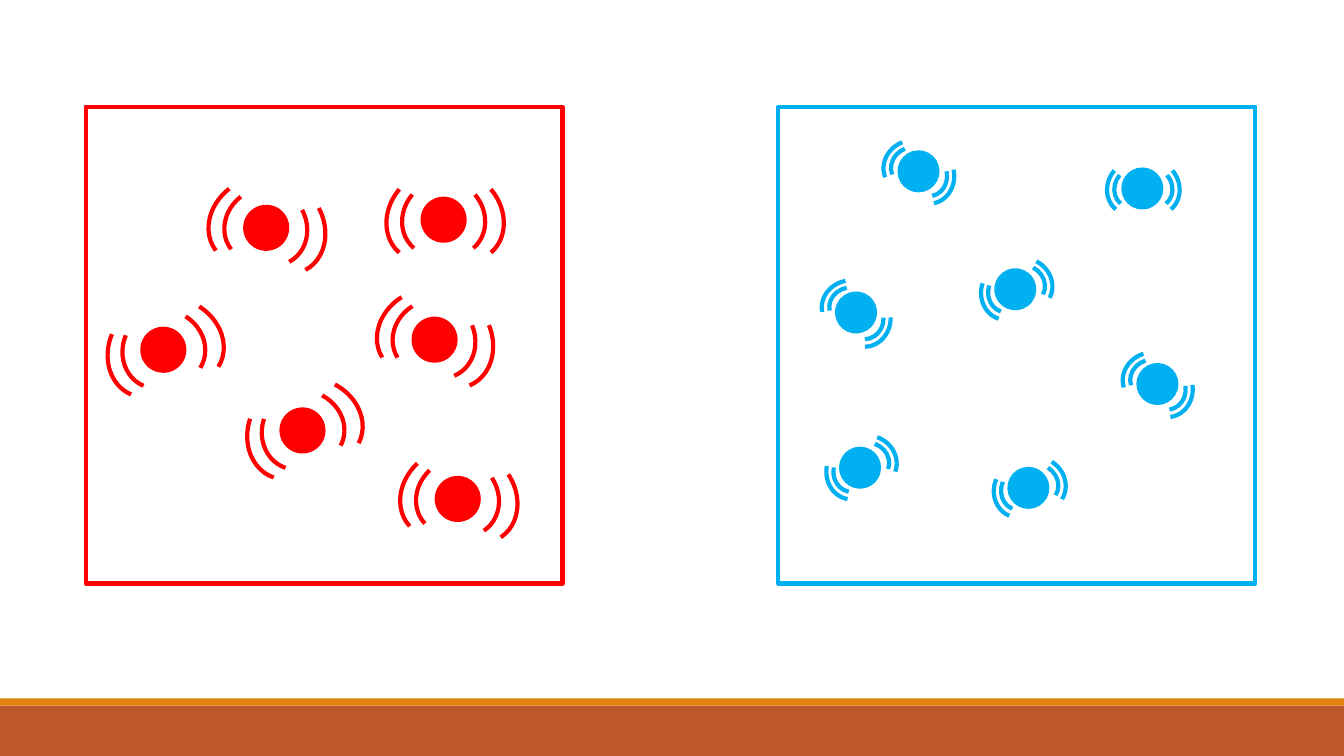
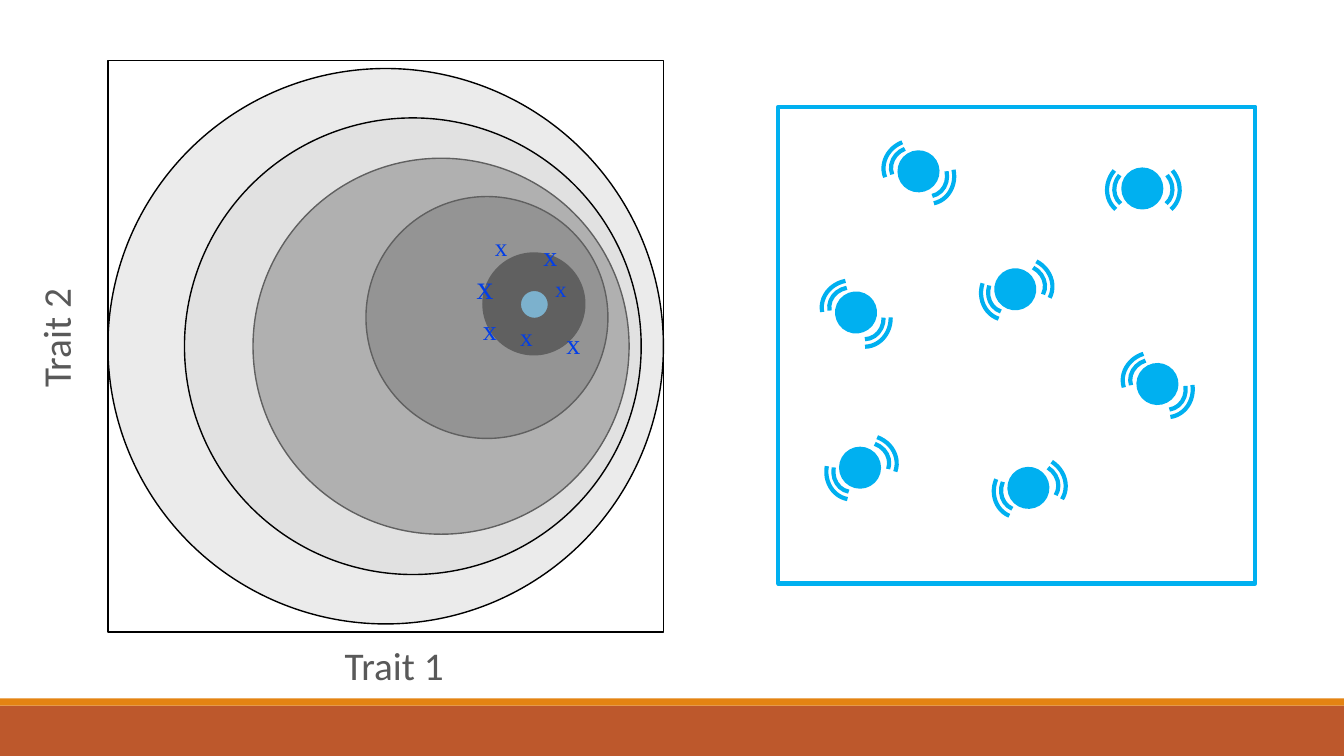
from dataclasses import dataclass
from math import cos, radians, sin

from lxml.etree import SubElement
from pptx import Presentation
from pptx.dml.color import RGBColor
from pptx.enum.shapes import MSO_SHAPE
from pptx.enum.text import MSO_AUTO_SIZE, PP_ALIGN
from pptx.oxml.ns import qn
from pptx.util import Inches, Pt


@dataclass(frozen=True)
class Theme:
    band: str = "BD582C"
    stripe: str = "E48312"
    paper: str = "FFFFFF"
    hot: str = "FF0000"
    cold: str = "00B0F0"
    ink: str = "000000"
    label: str = "595959"
    mark: str = "023EE8"
    rings: tuple = ("EBEBEB", "929292", "5E5E5E")
    optimum: str = "3394C6"
    veil: str = "D6D6D6"
    label_font: str = "Calibri"
    mark_font: str = "Times New Roman"
    label_size: int = 28
    heavy: float = 3
    medium: float = 1.25
    thin: float = 1


@dataclass(frozen=True)
class Particle:
    """Dot size, and motion arcs as (width, height, right dx, left dx, dy) from the dot's centre."""
    color: str
    dot: float
    arcs: tuple


THEME = Theme()
SLIDE_W, SLIDE_H = 13.33, 7.5
ARC_TURN = 49.8
PANEL = 4.73
PANEL_TOP = 1.06
HOT_LEFT, COLD_LEFT = 0.85, 7.72

HOT = Particle(THEME.hot, 0.44, ((0.79, 0.71, 0.04, -0.04, -0.02),
                                 (0.96, 0.81, 0.16, -0.13, -0.04)))
COLD = Particle(THEME.cold, 0.4, ((0.42, 0.38, 0.1, -0.08, -0.01),
                                  (0.57, 0.52, 0.1, -0.08, -0.01)))

# Centre x, centre y (from the panel's corner) and turn in degrees
HOT_SPOTS = ((3.55, 1.12, 0), (1.79, 1.2, 12.2), (0.77, 2.41, -17.6),
             (2.15, 3.21, -22), (3.46, 2.31, 17.8), (3.69, 3.89, 6.9))
COLD_SPOTS = ((3.61, 0.81, 0), (1.39, 0.64, 28.2), (0.77, 2.04, 39),
              (3.76, 2.75, 32.4), (2.48, 3.78, -17.5), (0.81, 3.58, -29.9),
              (2.35, 1.81, -22.2))

# Left, top (from the plot's corner) and type size
MARKS = ((4.22, 1.72, 20), (3.56, 1.99, 24), (3.99, 2.54, 18), (4.45, 2.59, 20),
         (4.34, 2.08, 16), (3.62, 2.45, 20), (3.74, 1.65, 18))


def rgb(color):
    return RGBColor.from_string(color)


def add_figure(shapes, kind, x, y, w, h, fill=None, line=None, weight=0, turn=0):
    sp = shapes.add_shape(kind, Inches(x), Inches(y), Inches(w), Inches(h))
    sp.shadow.inherit = False
    sp.rotation = turn
    if fill:
        sp.fill.solid()
        sp.fill.fore_color.rgb = rgb(fill)
    else:
        sp.fill.background()
    if line:
        sp.line.color.rgb = rgb(line)
        sp.line.width = Pt(weight)
    else:
        sp.line.fill.background()
    return sp


def add_text(slide, text, x, y, w, h, font, size, color, wrap=False):
    sp = slide.shapes.add_textbox(Inches(x), Inches(y), Inches(w), Inches(h))
    tf = sp.text_frame
    tf.word_wrap = wrap
    tf.auto_size = MSO_AUTO_SIZE.SHAPE_TO_FIT_TEXT
    p = tf.paragraphs[0]
    p.text = text
    p.font.name, p.font.size, p.font.color.rgb = font, Pt(size), rgb(color)
    if wrap:
        p.alignment = PP_ALIGN.CENTER
    return sp


def add_bands(prs, slide):
    """Draw the footer bands and move them to the master, behind every slide."""
    tree = prs.slide_master.element.cSld.spTree
    bands = ((7, 0.5, THEME.band), (6.93, 0.07, THEME.stripe))
    for i, (top, height, color) in enumerate(bands):
        sp = add_figure(slide.shapes, MSO_SHAPE.RECTANGLE, 0, top, SLIDE_W, height, color)
        sp.element.nvSpPr.cNvPr.id = 20 + i
        tree.insert(2 + i, sp.element)


def add_particle(slide, particle, cx, cy, turn):
    shapes = slide.shapes.add_group_shape().shapes
    d = particle.dot
    add_figure(shapes, MSO_SHAPE.OVAL, cx - d / 2, cy - d / 2, d, d,
               particle.color, particle.color, THEME.medium, turn)
    c, s = cos(radians(turn)), sin(radians(turn))
    for w, h, right, left, dy in particle.arcs:
        for dx, side in ((right, 1), (left, -1)):
            x, y = cx + dx * c - dy * s, cy + dx * s + dy * c
            arc = add_figure(shapes, MSO_SHAPE.ARC, x - w / 2, y - h / 2, w, h,
                             line=particle.color, weight=THEME.heavy,
                             turn=turn + side * ARC_TURN)
            if side < 0:
                arc.element.spPr.find(qn("a:xfrm")).set("flipH", "1")


def add_panel(slide, x, y, particle, spots):
    add_figure(slide.shapes, MSO_SHAPE.RECTANGLE, x, y, PANEL, PANEL,
               THEME.paper, particle.color, THEME.heavy)
    for dx, dy, turn in spots:
        add_particle(slide, particle, x + dx, y + dy, turn)


def add_trait_plot(slide, x, y):
    """Nested fitness rings in a frame, with marks and the two axis labels."""
    w, h = 5.51, 5.67

    def ring(dx, dy, d, fill):
        return add_figure(slide.shapes, MSO_SHAPE.OVAL, x + dx, y + dy, d, d,
                          fill, THEME.ink, THEME.thin)

    ring_boxes = ((0, 0.08, w), (1.44, 0.97, 3.73), (2.56, 1.35, 2.4))
    for box, fill in zip(ring_boxes, THEME.rings):
        ring(*box, fill)
    add_figure(slide.shapes, MSO_SHAPE.RECTANGLE, x, y, w, h,
               line=THEME.ink, weight=THEME.thin)
    ring(3.72, 1.91, 1.01, THEME.ink)
    ring(4.09, 2.28, 0.28, THEME.optimum)
    veil = ring(0.76, 0.57, 4.53, THEME.veil)
    color = veil.element.spPr.find(qn("a:solidFill"))[0]
    SubElement(color, qn("a:alpha"), val="45000")

    for dx, dy, size in MARKS:
        add_text(slide, "x", x + dx, y + dy, 0.1 + size / 84, 0.1 + size / 60,
                 THEME.mark_font, size, THEME.mark)
    for text, dx, dy, turn in (("Trait 1", 1.82, 5.71, 0), ("Trait 2", -1.54, 2.47, 270)):
        sp = add_text(slide, text, x + dx, y + dy, 2.04, 0.57,
                      THEME.label_font, THEME.label_size, THEME.label, wrap=True)
        sp.rotation = turn


def main():
    prs = Presentation()
    prs.slide_width, prs.slide_height = Inches(SLIDE_W), Inches(SLIDE_H)
    blank = prs.slide_layouts.get_by_name("Blank")

    comparison = prs.slides.add_slide(blank)
    add_bands(prs, comparison)
    add_panel(comparison, HOT_LEFT, PANEL_TOP, HOT, HOT_SPOTS)
    add_panel(comparison, COLD_LEFT, PANEL_TOP, COLD, COLD_SPOTS)

    traits = prs.slides.add_slide(blank)
    add_panel(traits, COLD_LEFT, PANEL_TOP, COLD, COLD_SPOTS)
    add_trait_plot(traits, 1.07, 0.6)

    prs.save("out.pptx")


if __name__ == "__main__":
    main()
